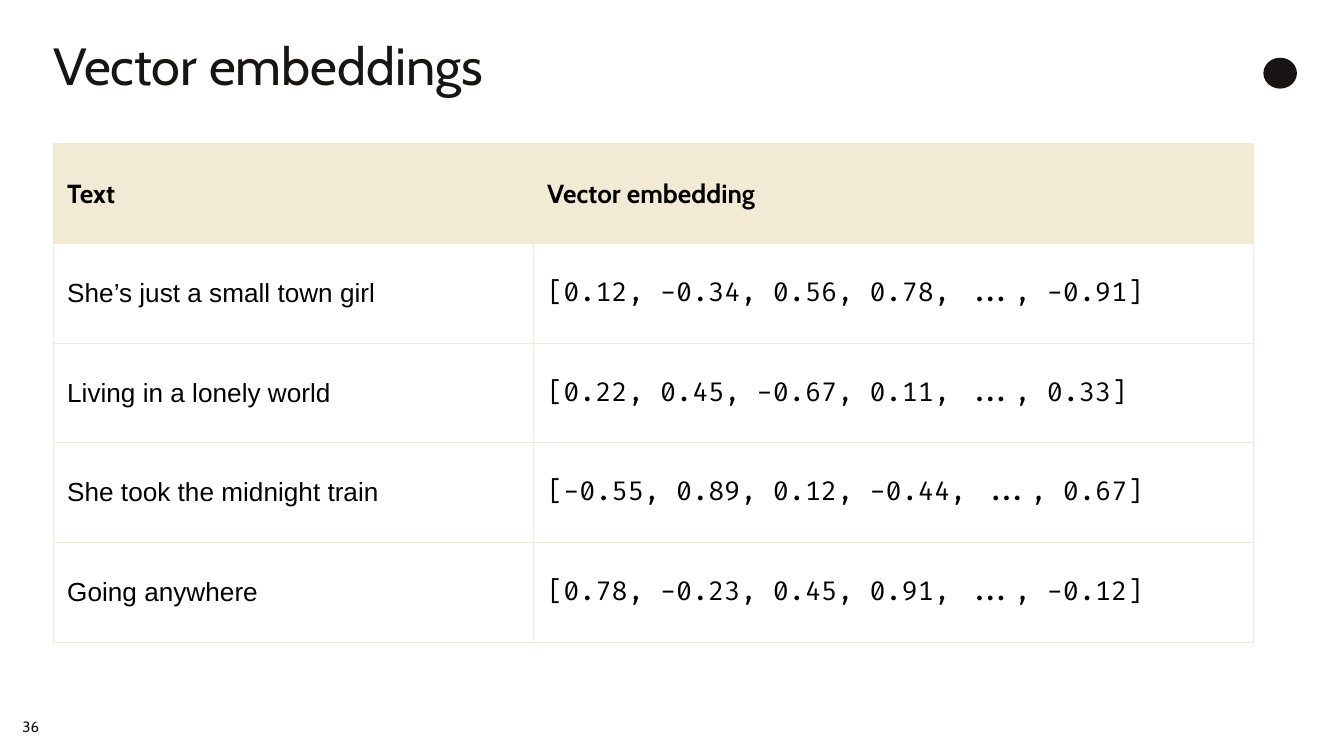
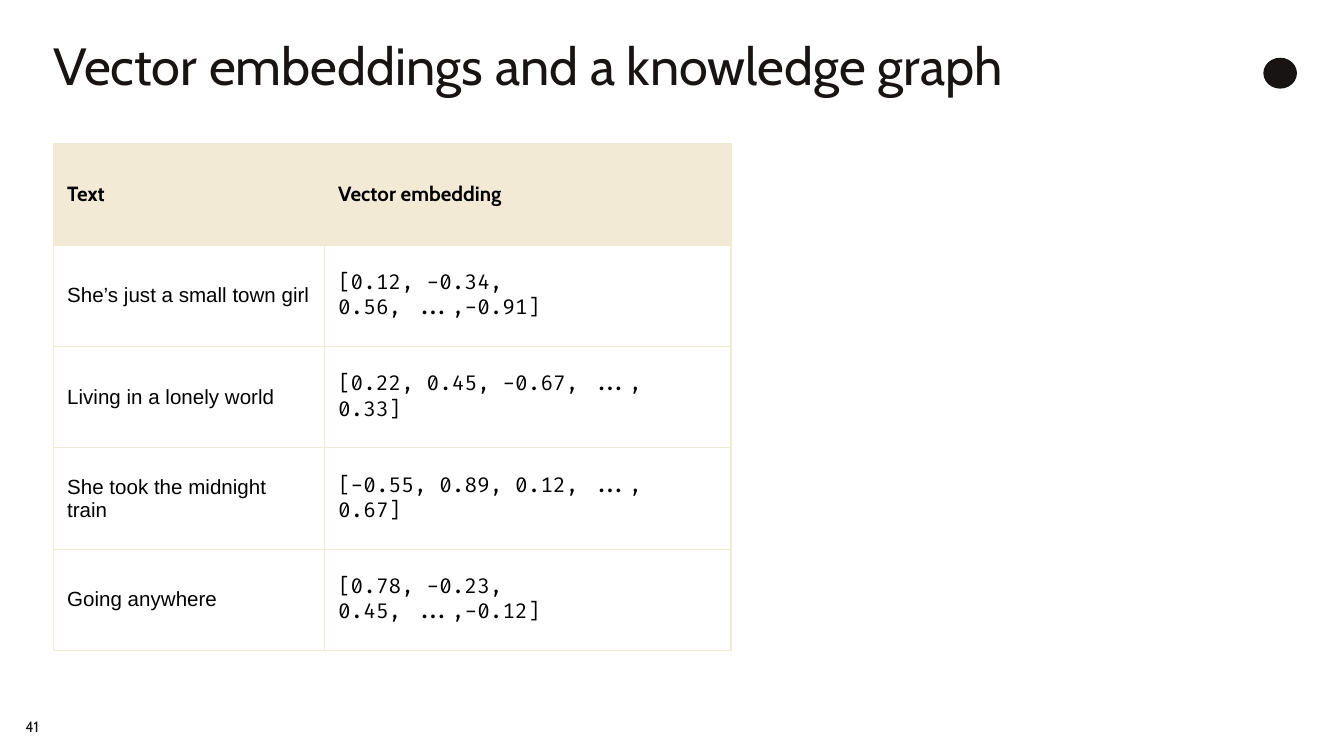
from dataclasses import dataclass

import pptx
import pptx.dml.color
import pptx.enum.shapes
import pptx.enum.text
import pptx.oxml
import pptx.oxml.ns
import pptx.util
from pptx.util import Inches


@dataclass(frozen=True)
class Theme:
    """Colours, fonts and type sizes of the deck."""
    ink: str = "181414"
    black: str = "000000"
    sand: str = "F2EAD4"
    heading_font: str = "Cabin"
    body_font: str = "Arial"
    code_font: str = "Fira Code"
    title_size: int = 28
    number_size: int = 8
    border_width: float = 0.75


THEME = Theme()
COLUMN_SHARES = (0.4, 0.6)
HEADER = ("Text", "Vector embedding")
PHRASES = (
    "She’s just a small town girl",
    "Living in a lonely world",
    "She took the midnight train",
    "Going anywhere",
)
LONG_VECTORS = (
    "[0.12, -0.34, 0.56, 0.78, ..., -0.91]",
    "[0.22, 0.45, -0.67, 0.11, ..., 0.33]",
    "[-0.55, 0.89, 0.12, -0.44, ..., 0.67]",
    "[0.78, -0.23, 0.45, 0.91, ..., -0.12]",
)
SHORT_VECTORS = (
    "[0.12, -0.34, 0.56, ...,-0.91]",
    "[0.22, 0.45, -0.67, ..., 0.33]",
    "[-0.55, 0.89, 0.12, ..., 0.67]",
    "[0.78, -0.23, 0.45, ...,-0.12]",
)


def color(value):
    """Turn a hex string into a colour."""
    return pptx.dml.color.RGBColor.from_string(value)


def write_text(frame, text, *, size, font=THEME.heading_font, ink=THEME.ink,
               bold=False, align=pptx.enum.text.PP_ALIGN.LEFT):
    """Write one formatted paragraph into a text frame."""
    frame.word_wrap = True
    para = frame.paragraphs[0]
    para.alignment = align
    span = para.add_run()
    span.text = text
    span.font.size = pptx.util.Pt(size)
    span.font.name = font
    span.font.bold = bold
    span.font.color.rgb = color(ink)


def add_text(page, text, left, top, width, height, **style):
    """Add a text box without margins."""
    box = page.shapes.add_textbox(Inches(left), Inches(top), Inches(width), Inches(height))
    frame = box.text_frame
    frame.margin_left = frame.margin_right = frame.margin_top = frame.margin_bottom = 0
    write_text(frame, text, **style)


def add_corner_mark(page):
    """Add the plain mark in the top right corner."""
    mark = page.shapes.add_shape(pptx.enum.shapes.MSO_SHAPE.OVAL,
                                 Inches(9.4), Inches(0.43), Inches(0.25), Inches(0.23))
    mark.shadow.inherit = False
    mark.fill.solid()
    mark.fill.fore_color.rgb = color(THEME.ink)
    mark.line.fill.background()


def add_page(deck, title, number):
    """Add a blank page with its mark, title and page number."""
    page = deck.slides.add_slide(deck.slide_layouts[6])
    add_corner_mark(page)
    add_text(page, title, 0.4, 0.25, 8.6, 0.6, size=THEME.title_size)
    add_text(page, str(number), 0, 5.34, 0.29, 0.29, size=THEME.number_size,
             align=pptx.enum.text.PP_ALIGN.RIGHT)
    return page


def draw_borders(cell):
    """Draw the four borders of a table cell."""
    properties = cell._tc.get_or_add_tcPr()
    for side in ("lnL", "lnR", "lnT", "lnB"):
        properties.append(pptx.oxml.parse_xml(
            f'<a:{side} {pptx.oxml.ns.nsdecls("a")} w="{pptx.util.Pt(THEME.border_width)}">'
            f'<a:solidFill><a:srgbClr val="{THEME.sand}"/></a:solidFill></a:{side}>'))


def format_cell(cell, text, is_header, **style):
    """Fill one table cell with its text, borders and background."""
    cell.vertical_anchor = pptx.enum.text.MSO_ANCHOR.MIDDLE
    cell.margin_left = cell.margin_right = Inches(0.1)
    cell.margin_top = cell.margin_bottom = Inches(0.1)
    draw_borders(cell)
    if is_header:
        cell.fill.solid()
        cell.fill.fore_color.rgb = color(THEME.sand)
    else:
        cell.fill.background()
    write_text(cell.text_frame, text, ink=THEME.black, bold=is_header, **style)


def add_embedding_table(page, vectors, width, height, size):
    """Add the table that pairs each phrase with its vector."""
    rows = [HEADER, *zip(PHRASES, vectors)]
    table = page.shapes.add_table(len(rows), len(HEADER), Inches(0.4), Inches(1.07),
                                  Inches(width), Inches(height)).table
    table.first_row = table.horz_banding = False
    for column, share in zip(table.columns, COLUMN_SHARES):
        column.width = Inches(width * share)
    for row_index, row in enumerate(rows):
        is_header = row_index == 0
        fonts = (THEME.heading_font,) * 2 if is_header else (THEME.body_font, THEME.code_font)
        for column_index, (text, font) in enumerate(zip(row, fonts)):
            format_cell(table.cell(row_index, column_index), text, is_header,
                        size=size, font=font)


def main():
    """Build and save the deck."""
    deck = pptx.Presentation()
    deck.slide_width, deck.slide_height = Inches(10), Inches(10 * 9 / 16)
    page = add_page(deck, "Vector embeddings", 36)
    add_embedding_table(page, LONG_VECTORS, 8.93, 3.71, size=14)
    page = add_page(deck, "Vector embeddings and a knowledge graph", 41)
    add_embedding_table(page, SHORT_VECTORS, 5.04, 3.77, size=11)
    deck.save("out.pptx")


if __name__ == "__main__":
    main()
